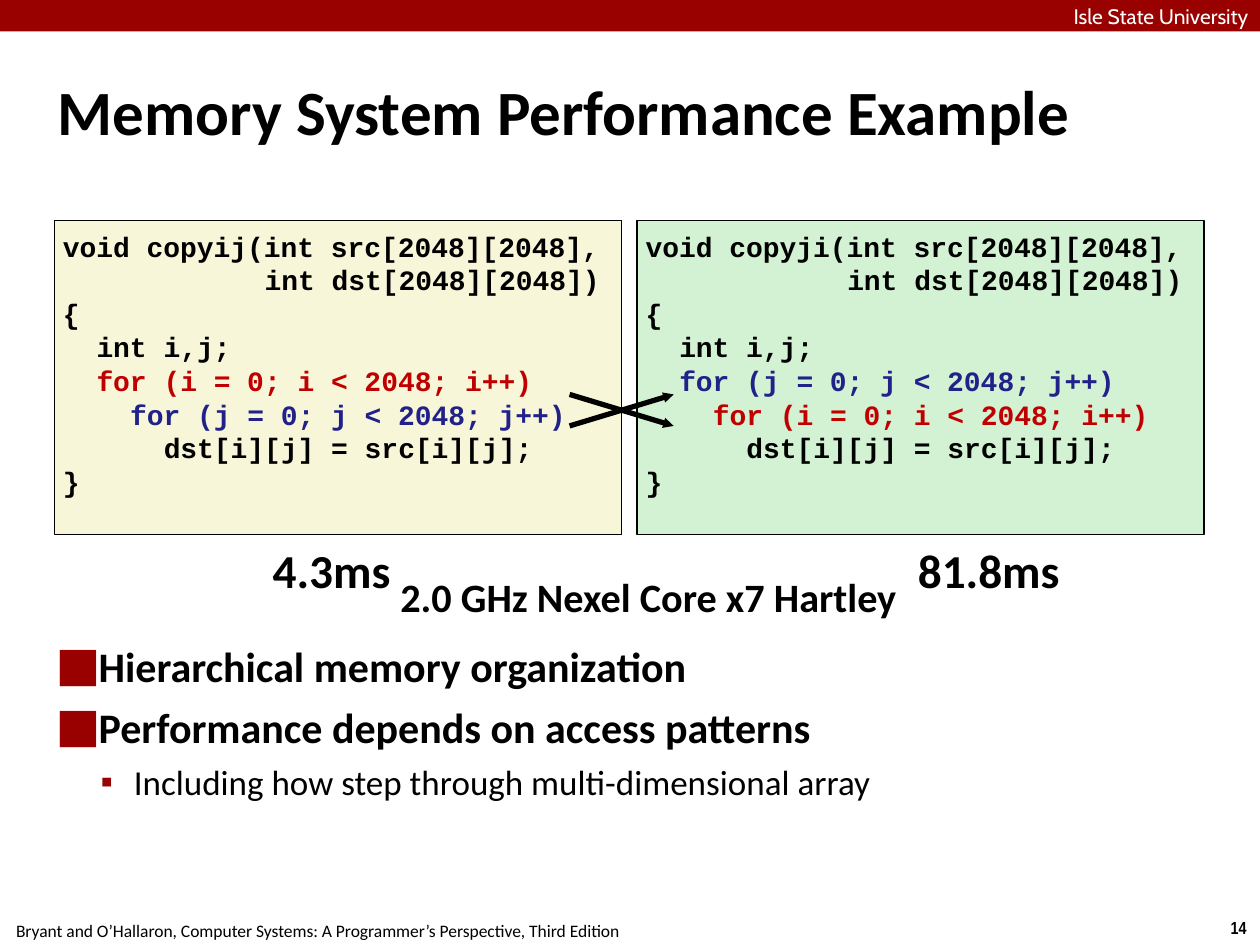
import pptx
import pptx.util
import pptx.dml.color
import pptx.enum.shapes
import pptx.enum.text
import lxml.etree
import pptx.oxml.ns

Pt = pptx.util.Pt
RGB = pptx.dml.color.RGBColor
ALIGN = pptx.enum.text.PP_ALIGN
ANCHOR = pptx.enum.text.MSO_ANCHOR
RECTANGLE = pptx.enum.shapes.MSO_SHAPE.RECTANGLE
qn = pptx.oxml.ns.qn

BLACK = RGB(0, 0, 0)
WHITE = RGB(0xFF, 0xFF, 0xFF)
MAROON = RGB(0x99, 0, 0)
RED = RGB(0xC0, 0, 0)
BLUE = RGB(0x21, 0x21, 0x8A)
CREAM = RGB(0xF8, 0xF6, 0xD9)
MINT = RGB(0xD3, 0xF2, 0xD3)

# Content
UNIVERSITY = "Isle State University"
TITLE = "Memory System Performance Example"
LOOP_COLORS = {"i": RED, "j": BLUE}
# function name, loop order, fill
FUNCTIONS = [("copyij", "ij", CREAM), ("copyji", "ji", MINT)]
# text, level, bullet, size, bold, left margin, hanging indent, space before
POINTS = [
    ("Hierarchical memory organization", 0, "⬛", 24, True, 20, 20, 0),
    ("Performance depends on access patterns", 0, "⬛", 24, True, 20, 20, 6),
    ("Including how step through multi-dimensional array", 1, "▪", 20, False, 43.5, 19, 5),
]
# text, (left, top, width, height), (side inset, top inset), font, size, bold
LABELS = [
    ("14", (695.5, 520.5, 24.5, 19.5), (7.2, 3.6), "Arial Narrow", 10, True),
    ("Bryant and O’Hallaron, Computer Systems: A Programmer’s Perspective, Third Edition",
     (-1.5, 522, 366, 19.5), (7.2, 3.6), "Calibri", 10, False),
    ("81.8ms", (520, 306, 90, 40), (3, 3), "Calibri", 27, True),
    ("4.3ms", (147.5, 306, 84, 40), (7.2, 3.6), "Calibri", 27, True),
    ("2.0 GHz Nexel Core x7 Hartley", (226, 324, 289.5, 35), (3, 3), "Calibri", 23, True),
]

# Layout
CODE_LEFT, CODE_TOP, CODE_WIDTH, CODE_HEIGHT, CODE_STEP = 31, 126, 324, 179.3, 333
CODE_SIZE = 16
CHAR_WIDTH = 0.6 * CODE_SIZE
SWAP_LEFT, SWAP_RIGHT, SWAP_YS = 325.5, 385, (225.4, 243.4)


def code_lines(name, order):
    """Return (indent in characters, text, color) for each line."""
    loops = [(2 + 2 * depth, f"for ({v} = 0; {v} < 2048; {v}++)", LOOP_COLORS[v])
             for depth, v in enumerate(order)]
    return [
        (0, f"void {name}(int src[2048][2048],", BLACK),
        (12, "int dst[2048][2048])", BLACK),
        (0, "{", BLACK),
        (2, "int i,j;", BLACK),
        *loops,
        (6, "dst[i][j] = src[i][j];", BLACK),
        (0, "}", BLACK),
    ]


def set_frame(frame, side, top, anchor=ANCHOR.TOP, wrap=True):
    frame.margin_left = frame.margin_right = Pt(side)
    frame.margin_top = frame.margin_bottom = Pt(top)
    frame.vertical_anchor = anchor
    frame.word_wrap = wrap
    frame.auto_size = pptx.enum.text.MSO_AUTO_SIZE.NONE


def set_paragraph(paragraph, text, font, size, color=BLACK, bold=False, align=ALIGN.LEFT):
    paragraph.text = text
    paragraph.alignment = align
    paragraph.font.name = font
    paragraph.font.size = Pt(size)
    paragraph.font.bold = bold
    paragraph.font.color.rgb = color


def set_indent(paragraph, left, hanging=0):
    properties = paragraph._p.get_or_add_pPr()
    properties.set("marL", str(Pt(left)))
    properties.set("indent", str(-Pt(hanging)))
    return properties


def set_bullet(paragraph, character, left, hanging):
    properties = set_indent(paragraph, left, hanging)
    marks = [lxml.etree.Element(qn("a:buClr")), lxml.etree.Element(qn("a:buChar"), char=character)]
    lxml.etree.SubElement(marks[0], qn("a:srgbClr"), val=str(MAROON))
    defaults = properties.find(qn("a:defRPr"))
    for mark in marks:
        defaults.addprevious(mark)


def paragraphs(frame, count):
    return [frame.paragraphs[0]] + [frame.add_paragraph() for _ in range(count - 1)]


def place(shape, left, top, width, height):
    shape.left, shape.top, shape.width, shape.height = map(Pt, (left, top, width, height))


def add_rectangle(slide, box, fill):
    rectangle = slide.shapes.add_shape(RECTANGLE, *map(Pt, box))
    rectangle.shadow.inherit = False
    rectangle.fill.solid()
    rectangle.fill.fore_color.rgb = fill
    return rectangle


def add_swap_arrow(slide, start_y, end_y):
    arrow = slide.shapes.add_connector(
        pptx.enum.shapes.MSO_CONNECTOR.STRAIGHT,
        Pt(SWAP_LEFT), Pt(start_y), Pt(SWAP_RIGHT), Pt(end_y))
    arrow.line.color.rgb = BLACK
    arrow.line.width = Pt(3)
    lxml.etree.SubElement(arrow.line._get_or_add_ln(), qn("a:tailEnd"),
                          type="triangle", w="sm", len="sm")
    lxml.etree.SubElement(arrow._element.spPr, qn("a:effectLst"))


def main():
    deck = pptx.Presentation()
    deck.slide_width, deck.slide_height = Pt(720), Pt(540)
    slide = deck.slides.add_slide(deck.slide_layouts[1])

    # Header band, with the name right-aligned inside the slide edge
    band = add_rectangle(slide, (0, 0, 720, 18), MAROON)
    band.line.fill.background()
    university = slide.shapes.add_textbox(Pt(590), Pt(2), Pt(123.5), Pt(14)).text_frame
    set_frame(university, 0, 0)
    set_paragraph(university.paragraphs[0], UNIVERSITY, "Cabin", 12, WHITE, align=ALIGN.RIGHT)

    # Title
    title = slide.shapes.title
    place(title, 30, 20, 660, 86)
    set_frame(title.text_frame, 3, 3, ANCHOR.MIDDLE)
    set_paragraph(title.text_frame.paragraphs[0], TITLE, "Calibri", 36, bold=True)

    # Bullet points
    body = slide.placeholders[1]
    place(body, 30, 363, 660, 175)
    set_frame(body.text_frame, 3, 3)
    for paragraph, point in zip(paragraphs(body.text_frame, len(POINTS)), POINTS):
        text, level, bullet, size, bold, left, hanging, before = point
        set_paragraph(paragraph, text, "Calibri", size, bold=bold)
        paragraph.level = level
        paragraph.space_before = Pt(before)
        set_bullet(paragraph, bullet, left, hanging)

    # Code panels
    for column, (name, order, fill) in enumerate(FUNCTIONS):
        box = (CODE_LEFT + column * CODE_STEP, CODE_TOP, CODE_WIDTH, CODE_HEIGHT)
        panel = add_rectangle(slide, box, fill)
        panel.line.color.rgb = BLACK
        panel.line.width = Pt(0.75)
        set_frame(panel.text_frame, 5, 5)
        lines = code_lines(name, order)
        for paragraph, (indent, text, color) in zip(paragraphs(panel.text_frame, len(lines)), lines):
            set_paragraph(paragraph, text, "Courier New", CODE_SIZE, color, True)
            set_indent(paragraph, indent * CHAR_WIDTH)

    # Crossing arrows between the swapped loops
    for start_y, end_y in (SWAP_YS, SWAP_YS[::-1]):
        add_swap_arrow(slide, start_y, end_y)

    # Timings and footer
    for text, box, insets, font, size, bold in LABELS:
        label = slide.shapes.add_textbox(*map(Pt, box)).text_frame
        set_frame(label, *insets, wrap=False)
        set_paragraph(label.paragraphs[0], text, font, size, bold=bold, align=ALIGN.CENTER)

    deck.save("out.pptx")


if __name__ == "__main__":
    main()
